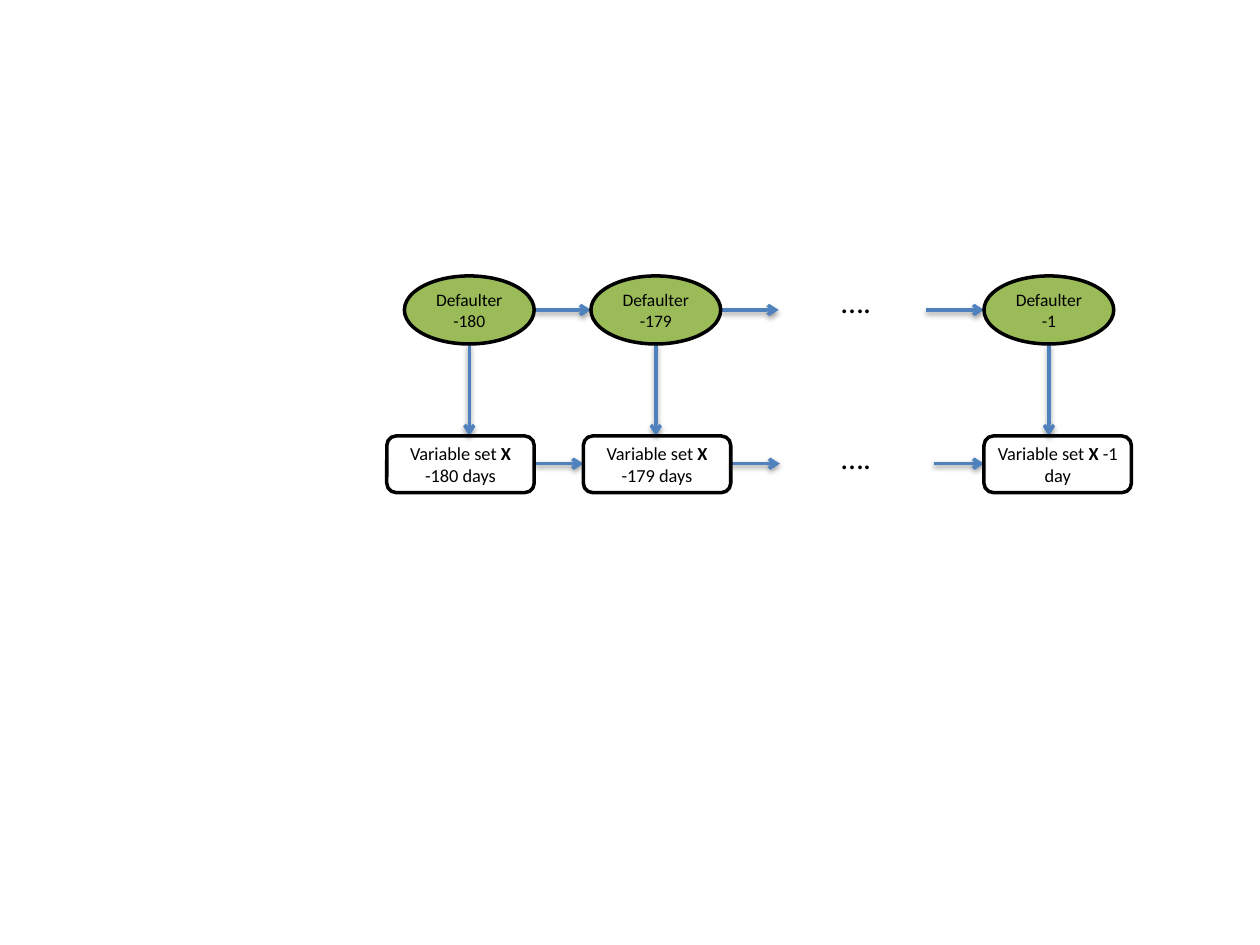
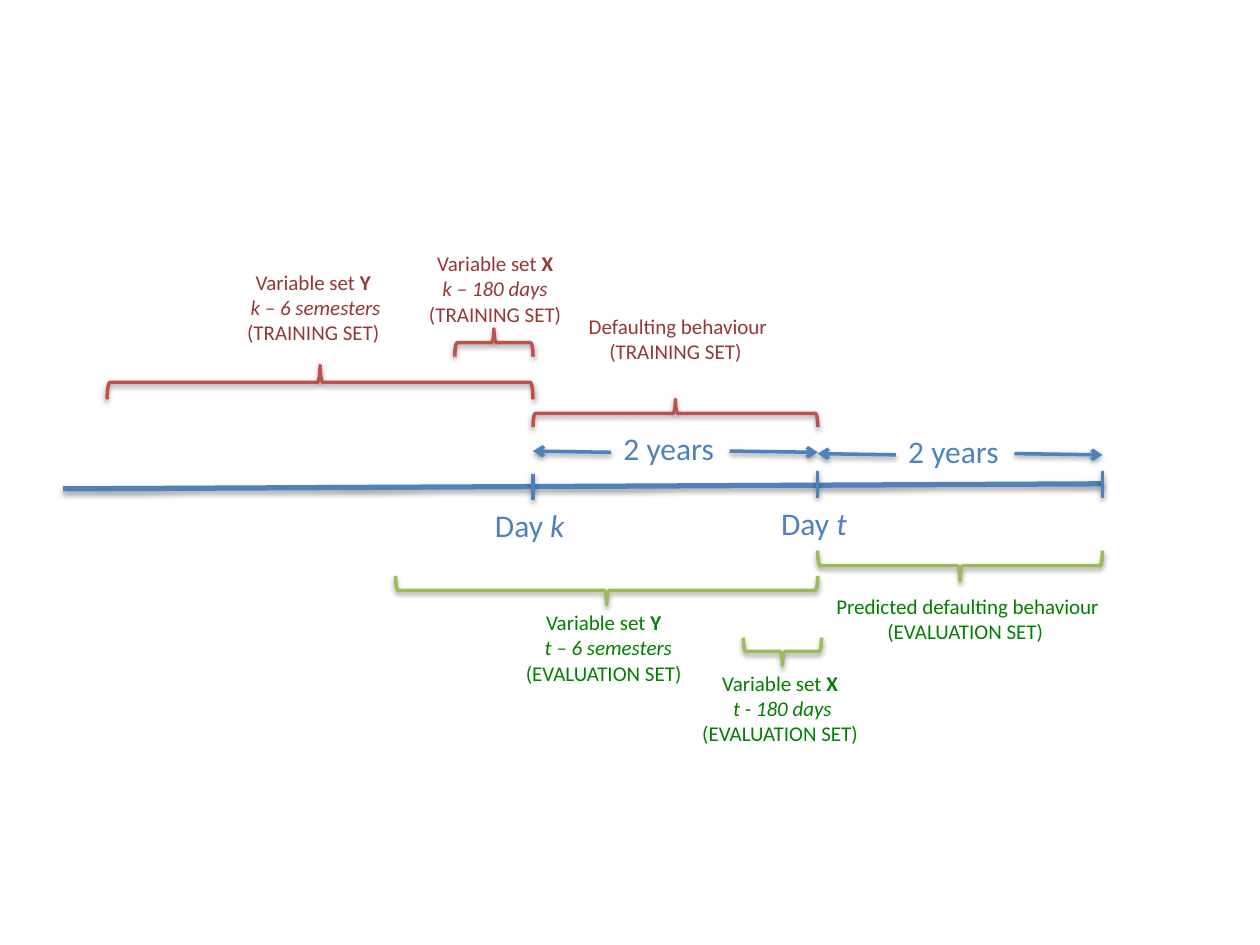
from lxml import etree
from pptx import Presentation
from pptx.dml.color import RGBColor
from pptx.enum.shapes import MSO_CONNECTOR, MSO_SHAPE
from pptx.enum.text import MSO_ANCHOR, MSO_AUTO_SIZE, PP_ALIGN
from pptx.oxml.ns import qn
from pptx.util import Inches, Pt

STRAIGHT = MSO_CONNECTOR.STRAIGHT
OVAL, ROUND, BRACE = MSO_SHAPE.OVAL, MSO_SHAPE.ROUNDED_RECTANGLE, MSO_SHAPE.LEFT_BRACE
MIDDLE, GROW = MSO_ANCHOR.MIDDLE, MSO_AUTO_SIZE.SHAPE_TO_FIT_TEXT
LEFT, CENTER = PP_ALIGN.LEFT, PP_ALIGN.CENTER

COLORS = {"black": "000000", "blue": "4F81BD", "lime": "9BBB59",
          "red": "C0504D", "maroon": "953735", "green": "008000"}
FONT = "Calibri"


def color(name):
    return RGBColor.from_string(COLORS[name])


class Deck:
    def __init__(self):
        self.prs = Presentation()
        self.prs.slide_width, self.prs.slide_height = Inches(10), Inches(7.5)

    def page(self):
        self.shapes = self.prs.slides.add_slide(self.prs.slide_layouts[6]).shapes

    def stroke(self, item, tint, width):
        item.line.color.rgb = color(tint)
        item.line.width = Pt(width)

    def shade(self, item):
        """Add a soft shadow straight below; call after the line is set."""
        fx = etree.SubElement(item._element.spPr, qn("a:effectLst"))
        drop = etree.SubElement(fx, qn("a:outerShdw"), blurRad=str(Pt(3.1)),
                                dist=str(Pt(1.6)), dir="5400000", rotWithShape="0")
        tone = etree.SubElement(drop, qn("a:srgbClr"), val=COLORS["black"])
        etree.SubElement(tone, qn("a:alpha"), val="38000")

    def add_text(self, frame, paras, size, tint, align):
        """Each paragraph is a list of (text, style); style is "", "b" or "i"."""
        for n, runs in enumerate(paras):
            para = frame.add_paragraph() if n else frame.paragraphs[0]
            para.alignment = align
            for text, style in runs:
                run = para.add_run()
                run.text = text
                font = run.font
                font.name, font.size = FONT, Pt(size)
                font.bold, font.italic = style == "b", style == "i"
                font.color.rgb = color(tint)

    def line(self, x1, y1, x2, y2, width=2, head=False):
        item = self.shapes.add_connector(STRAIGHT, *map(Inches, (x1, y1, x2, y2)))
        self.stroke(item, "blue", width)
        if head:
            ln = item._element.spPr.find(qn("a:ln"))
            etree.SubElement(ln, qn("a:tailEnd"), type="arrow")
        self.shade(item)

    def arrow(self, x1, y1, x2, y2):
        self.line(x1, y1, x2, y2, head=True)

    def node(self, kind, x, y, w, h, runs, size, fill=None):
        item = self.shapes.add_shape(kind, *map(Inches, (x, y, w, h)))
        item.shadow.inherit = False
        if fill:
            item.fill.solid()
            item.fill.fore_color.rgb = color(fill)
        else:
            item.fill.background()
        self.stroke(item, "black", 2)
        frame = item.text_frame
        frame.word_wrap, frame.vertical_anchor = True, MIDDLE
        frame.margin_left = frame.margin_right = Inches(0.08)
        self.add_text(frame, [runs], size, "black", CENTER)

    def brace(self, x1, x2, y, depth, tint, turn):
        """Span x1 to x2 from the top y; turn 90 points up, 270 points down."""
        span = x2 - x1
        left, top = (x1 + x2 - depth) / 2, y + (depth - span) / 2
        item = self.shapes.add_shape(BRACE, *map(Inches, (left, top, depth, span)))
        item.rotation = turn
        item.fill.background()
        self.stroke(item, tint, 2)
        self.shade(item)

    def label(self, x, y, w, h, paras, size=18, tint="blue", align=LEFT):
        frame = self.shapes.add_textbox(*map(Inches, (x, y, w, h))).text_frame
        frame.word_wrap, frame.auto_size = False, GROW
        self.add_text(frame, paras, size, tint, align)

    def note(self, x, y, w, h, paras, tint):
        self.label(x, y, w, h, paras, 12, tint, CENTER)


def chain(deck):
    """Daily defaulter states, each with its variable set."""
    deck.page()
    oval_w, oval_h, box_w, box_h = 1.03, 0.54, 1.17, 0.45
    oval_y, box_y = 2.19, 3.46
    steps = [("-180", "days", 3.21, 3.07), ("-179", "days", 4.69, 4.63),
             ("-1", "day", 7.81, 7.81)]
    rows = [(2.46, [(4.24, 4.69), (5.72, 6.18), (7.35, 7.81)]),
            (3.68, [(4.24, 4.63), (5.8, 6.19), (7.41, 7.81)])]
    for y, spans in rows:
        for x1, x2 in spans:
            deck.arrow(x1, y, x2, y)
    for y in (oval_y, 3.43):
        deck.label(6.58, y, 0.44, 0.4, [[("….", "")]], tint="black")
    for day, unit, oval_x, box_x in steps:
        mid = oval_x + oval_w / 2
        deck.arrow(mid, oval_y + oval_h, mid, box_y)
        deck.node(OVAL, oval_x, oval_y, oval_w, oval_h,
                  [(f"Defaulter {day}", "")], 10, "lime")
        deck.node(ROUND, box_x, box_y, box_w, box_h,
                  [("Variable set ", ""), ("X", "b"), (f" {day} {unit}", "")], 10.5)


def timeline(deck):
    """Training and evaluation windows around day k and day t."""
    deck.page()
    day_k, day_t, end = 4.23, 6.49, 8.75
    deck.line(0.5, 3.88, end, 3.84, width=3)
    for x, y in ((day_k, 3.76), (day_t, 3.74), (end, 3.74)):
        deck.line(x, y, x, y + 0.21)
    for x, y, w, name in ((3.83, 3.97, 0.81, "k"), (6.1, 3.95, 0.78, "t")):
        deck.label(x, y, w, 0.4, [[("Day ", ""), (name, "i")]])

    for start, y in ((day_k, 3.58), (day_t, 3.6)):
        deck.label(start + 0.62, y - 0.22, 0.93, 0.4, [[("2 years", "")]])
        deck.arrow(start + 0.62, y + 0.01, start, y)
        deck.arrow(start + 1.56, y, start + 2.26, y + 0.01)

    for x1, x2, y, depth in ((0.85, day_k, 2.9, 0.27), (3.61, day_k, 2.61, 0.22),
                             (day_k, day_t, 3.17, 0.22)):
        deck.brace(x1, x2, y, depth, "red", 90)
    for x1, x2, y, depth in ((3.14, day_t, 4.57, 0.23), (5.9, 6.52, 5.06, 0.22),
                             (day_t, end, 4.37, 0.24)):
        deck.brace(x1, x2, y, depth, "lime", 270)

    train, test = [("(TRAINING SET) ", "")], [("(EVALUATION SET) ", "")]
    sets = [(1.86, 2.09, 1.29, "Y ", "k – 6 semesters", train, "maroon"),
            (3.3, 1.94, 1.26, "X", "k – 180 days", train, "maroon"),
            (4.04, 4.79, 1.54, "Y ", " t – 6 semesters", test, "green"),
            (5.45, 5.27, 1.52, "X ", "t - 180 days", test, "green")]
    for x, y, w, name, window, use, tint in sets:
        deck.note(x, y, w, 0.71, [[("Variable set ", ""), (name, "b")],
                                  [(window, "i")], use], tint)
    deck.note(4.56, 2.44, 1.64, 0.5, [[("Defaulting behaviour", "")], train], "maroon")
    deck.note(6.52, 4.66, 2.32, 0.5,
              [[("Predicted defaulting behaviour", "")], test], "green")


def main():
    deck = Deck()
    chain(deck)
    timeline(deck)
    deck.prs.save("out.pptx")


if __name__ == "__main__":
    main()
